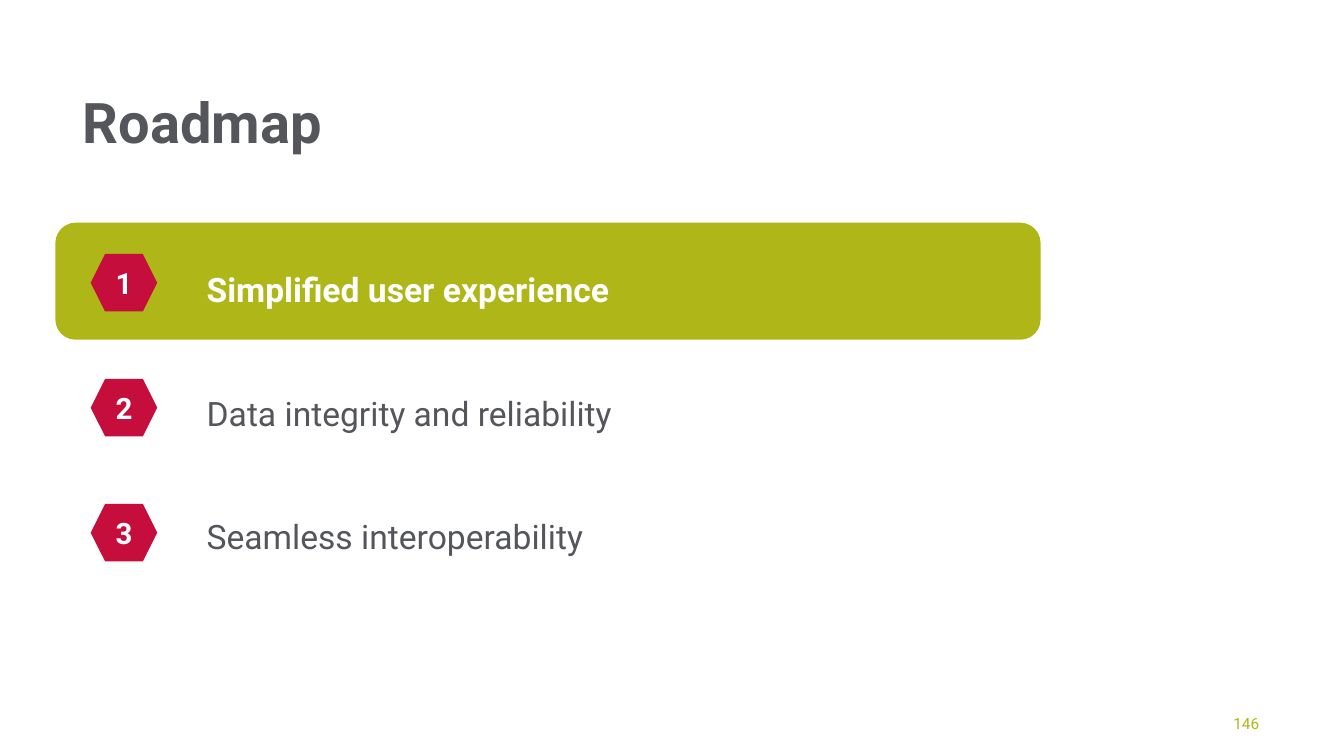
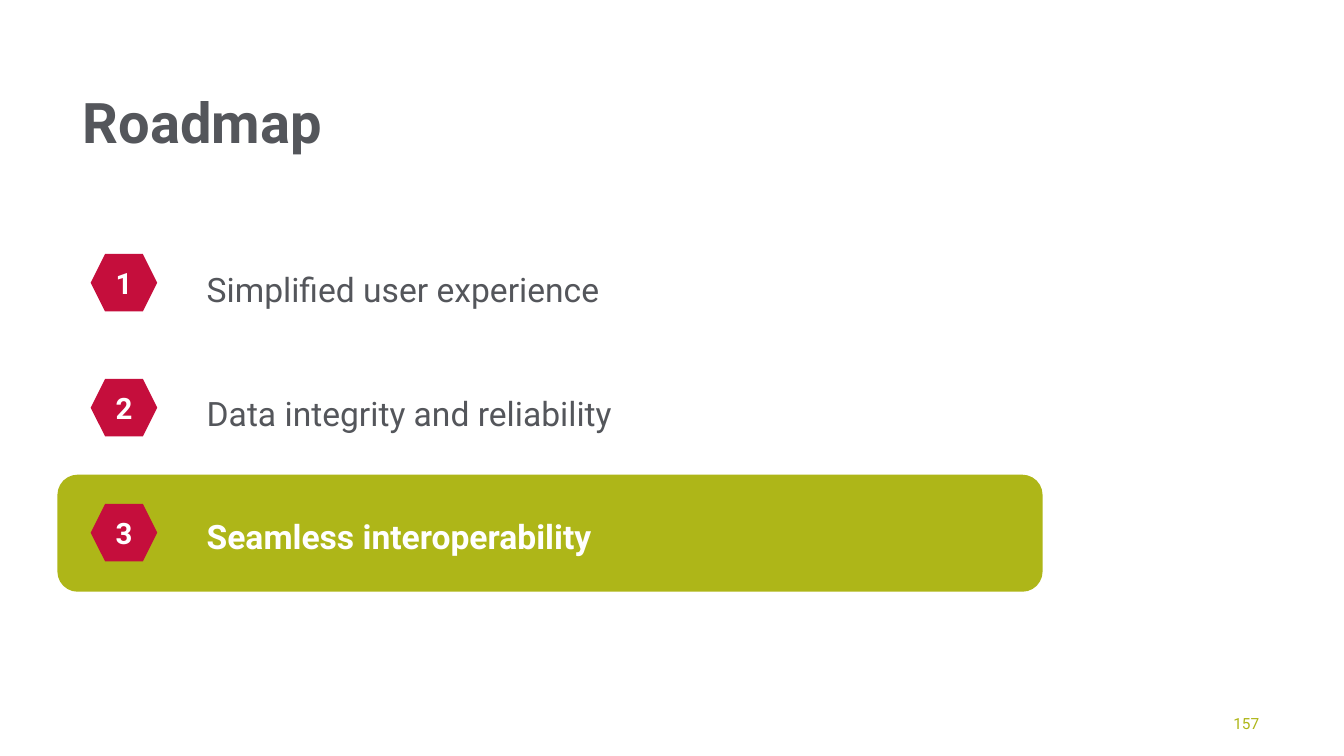
"""Build two roadmap slides, each with one step lit up."""
from pptx import Presentation
from pptx.dml.color import RGBColor
from pptx.enum.shapes import MSO_SHAPE as Shape
from pptx.enum.text import MSO_ANCHOR as Anchor, MSO_AUTO_SIZE as Fit, PP_ALIGN as Align
from pptx.util import Inches, Pt

TITLE = "Roadmap"
STEPS = ["Simplified user experience", "Data integrity and reliability",
         "Seamless interoperability"]
SLIDES = [
    {"page": "146", "lit": 0, "band": (0.56, 2.22)},
    {"page": "157", "lit": 2, "band": (0.58, 4.72)},
]

FONT = "Roboto"
GREEN = RGBColor(0xAE, 0xB6, 0x18)
RED = RGBColor(0xC5, 0x0E, 0x3C)
GREY = RGBColor(0x54, 0x56, 0x5B)
WHITE = RGBColor(0xFF, 0xFF, 0xFF)

WIDE, HIGH = 13.33, 7.5
BAND = (9.75, 1.14)
BADGE = (0.66, 0.57)
LEFT, TOP, PITCH = 0.9, 2.52, 1.24


def write(shape, lines, size, color, bold=False, lit=None, align=Align.LEFT,
          anchor=Anchor.TOP, line=1.0, gap=0):
    """Fill a shape with lines of text, the lit one bold and white."""
    frame = shape.text_frame
    frame.word_wrap, frame.auto_size = True, Fit.NONE
    frame.vertical_anchor = anchor
    frame.margin_left = frame.margin_right = 0
    frame.margin_top = frame.margin_bottom = 0
    for i, text in enumerate(lines):
        para = frame.add_paragraph() if i else frame.paragraphs[0]
        para.alignment, para.line_spacing = align, line
        para.space_before = Pt(gap if i else 0)
        run = para.add_run()
        run.text = text
        font = run.font
        font.name, font.size = FONT, Pt(size)
        font.bold = bold or i == lit
        font.color.rgb = WHITE if i == lit else color


def place(shape, *box):
    """Move a shape to a box given in inches."""
    shape.left, shape.top, shape.width, shape.height = map(Inches, box)


def draw(slide, kind, box, fill, edge=None):
    """Add a flat preset shape."""
    shape = slide.shapes.add_shape(kind, *map(Inches, box))
    shape.shadow.inherit = False
    shape.fill.solid()
    shape.fill.fore_color.rgb = fill
    if edge:
        shape.line.color.rgb, shape.line.width = fill, Pt(edge)
    else:
        shape.line.fill.background()
    return shape


def label(slide, box, lines, **style):
    """Add a text box."""
    write(slide.shapes.add_textbox(*map(Inches, box)), lines, **style)


def build(deck, page, lit, band):
    """Add one roadmap slide."""
    slide = deck.slides.add_slide(deck.slide_layouts[5])
    title = slide.shapes.title
    place(title, 0.82, 0.92, 11.66, 0.64)
    write(title, [TITLE], 40, GREY, bold=True, anchor=Anchor.MIDDLE, line=0.9)
    draw(slide, Shape.ROUNDED_RECTANGLE, band + BAND, GREEN, edge=1.5)
    label(slide, (12.14, 7.08, 0.35, 0.2), [page], size=11, color=GREEN,
          align=Align.RIGHT)
    label(slide, (2.05, 2.61, 9.75, 4.54), STEPS, size=24, color=GREY,
          lit=lit, line=1.15, gap=55)
    for i in range(len(STEPS)):
        badge = draw(slide, Shape.HEXAGON, (LEFT, TOP + i * PITCH) + BADGE, RED)
        write(badge, [str(i + 1)], 21, WHITE, bold=True, align=Align.CENTER,
              anchor=Anchor.MIDDLE)


def main():
    """Build and save the deck."""
    deck = Presentation()
    deck.slide_width, deck.slide_height = Inches(WIDE), Inches(HIGH)
    for item in SLIDES:
        build(deck, **item)
    deck.save("out.pptx")


if __name__ == "__main__":
    main()
